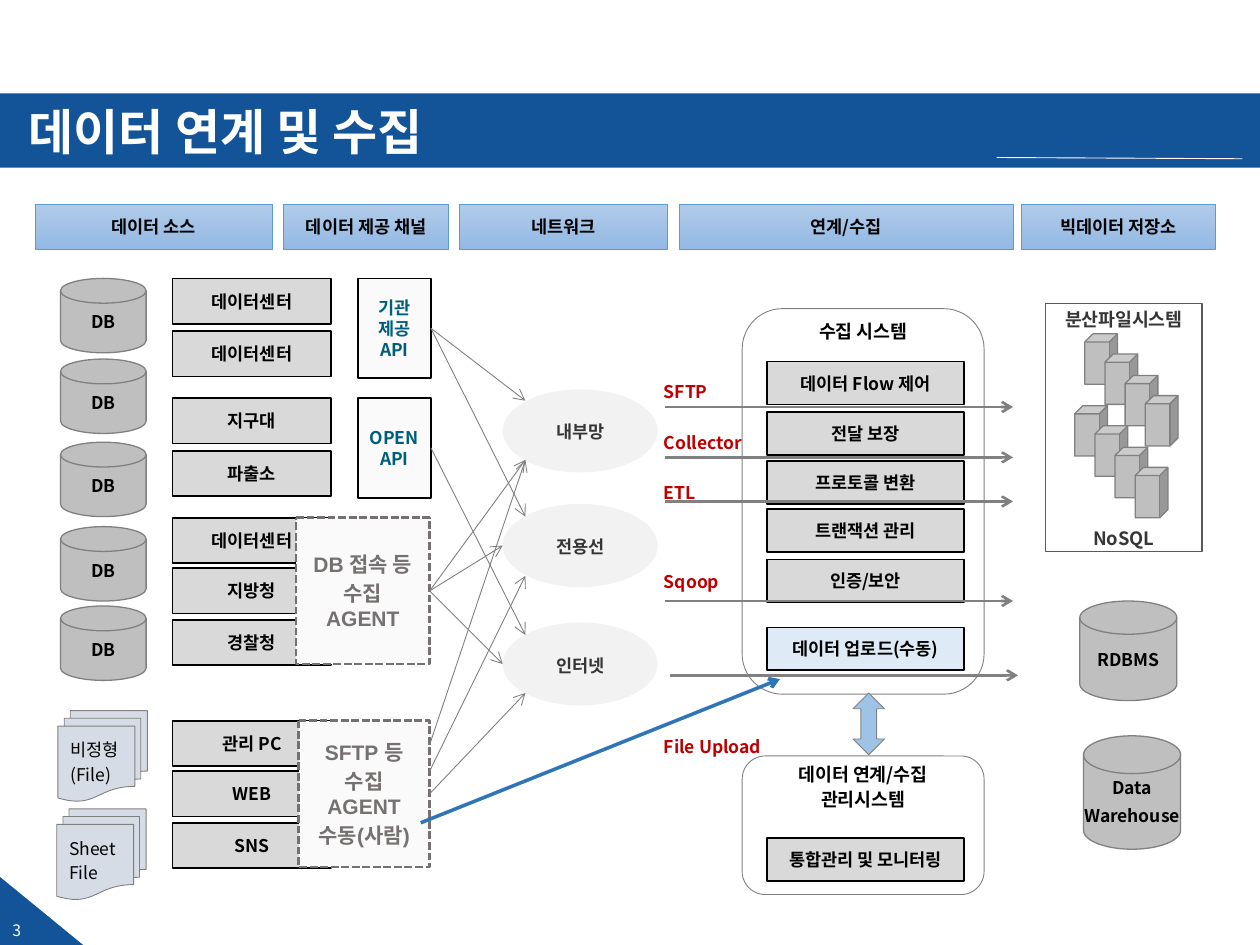
from dataclasses import dataclass

from lxml.etree import SubElement
from pptx import Presentation
from pptx.dml.color import RGBColor
from pptx.enum.dml import MSO_LINE
from pptx.enum.shapes import MSO_CONNECTOR, MSO_SHAPE
from pptx.enum.text import MSO_ANCHOR, MSO_AUTO_SIZE, PP_ALIGN
from pptx.oxml.ns import qn
from pptx.util import Pt


@dataclass(frozen=True)
class Theme:
    font: str = "Noto Sans CJK KR"
    agent_font: str = "Arial"
    navy: str = "135397"
    white: str = "FFFFFF"
    black: str = "000000"
    gray: str = "808080"
    disk: str = "BFBFBF"
    bar: str = "D9D9D9"
    pale: str = "FAFAFA"
    oval: str = "F2F2F2"
    dark: str = "363636"
    frame: str = "595959"
    agent: str = "767171"
    teal: str = "005E7D"
    red: str = "C00000"
    blue: str = "2E75B6"
    arrow: str = "9DC3E6"
    upload: str = "DEEBF7"
    paper: str = "D6DCE5"
    header_line: str = "5B9BD5"
    header_top: str = "B1CBE9"
    header_end: str = "93B9E4"
    title_size: float = 28
    agent_size: float = 12
    system_size: float = 10.5
    body_size: float = 10
    number_size: float = 9


theme = Theme()
PX = 9144


def write(shape, lines, size=theme.body_size, color=theme.black, bold=True, font=theme.font,
          align=PP_ALIGN.CENTER, anchor=MSO_ANCHOR.MIDDLE, insets=(10, 5, 10, 5),
          wrap=False, gap=0, spacing=1.0):
    frame = shape.text_frame
    frame.auto_size = MSO_AUTO_SIZE.NONE
    frame.word_wrap = wrap
    frame.vertical_anchor = anchor
    frame.margin_left, frame.margin_top, frame.margin_right, frame.margin_bottom = (
        inset * PX for inset in insets)
    for index, line in enumerate(lines):
        para = frame.add_paragraph() if index else frame.paragraphs[0]
        para.text = line
        para.alignment = align
        para.line_spacing = spacing
        para.space_before = Pt(gap if index else 0)
        para.space_after = Pt(0)
        para.font.size = Pt(size)
        para.font.bold = bold
        para.font.name = font
        para.font.color.rgb = RGBColor.from_string(color)
        SubElement(para._p.pPr.find(qn("a:defRPr")), qn("a:ea"), typeface=theme.font)
    return frame


def draw(kind, bounds, fill=None, line=None, width=0.75):
    shape = page.shapes.add_shape(kind, *(length * PX for length in bounds))
    shape.shadow.inherit = False
    if fill:
        shape.fill.solid()
        shape.fill.fore_color.rgb = RGBColor.from_string(fill)
    else:
        shape.fill.background()
    if line:
        shape.line.color.rgb = RGBColor.from_string(line)
        shape.line.width = Pt(width)
    else:
        shape.line.fill.background()
    return shape


deck = Presentation()
deck.slide_width, deck.slide_height = 1000 * PX, 750 * PX
page = deck.slides.add_slide(deck.slide_layouts[5])

title = page.shapes.title
title.left, title.top, title.width, title.height = 13 * PX, 81 * PX, 755 * PX, 51 * PX
write(title, ["데이터 연계 및 수집"], theme.title_size, theme.white,
      align=PP_ALIGN.LEFT, wrap=True, spacing=0.9)
banner = draw(MSO_SHAPE.RECTANGLE, (0, 74, 1000, 59), theme.navy)
title.element.addprevious(banner.element)
draw(MSO_SHAPE.RIGHT_TRIANGLE, (0, 696, 66, 54), theme.navy)
number = page.shapes.add_textbox(0, 726 * PX, 39 * PX, 25 * PX)
write(number, ["3"], theme.number_size, theme.white, False, align=PP_ALIGN.LEFT)

storage = draw(MSO_SHAPE.RECTANGLE, (830, 241, 124, 197), None, theme.frame)
write(storage, ["분산파일시스템", "NoSQL"], theme.system_size, theme.dark,
      insets=(5, 5, 5, 5), gap=111, spacing=1.1)

systems = [
    (245, 306, ["수집 시스템"]),
    (600, 110, ["데이터 연계/수집", "관리시스템"]),
]
for top, height, lines in systems:
    system = draw(MSO_SHAPE.ROUNDED_RECTANGLE, (589, top, 192, height),
                  theme.white, theme.gray, 0.5)
    write(system, lines, theme.system_size, anchor=MSO_ANCHOR.TOP,
          insets=(10, 0, 10, 5), wrap=True, gap=2)

headers = [
    (28, 188, "데이터 소스"),
    (225, 131, "데이터 제공 채널"),
    (365, 165, "네트워크"),
    (539, 265, "연계/수집"),
    (811, 154, "빅데이터 저장소"),
]
for left, width, label in headers:
    header = draw(MSO_SHAPE.RECTANGLE, (left, 162, width, 36), None, theme.header_line, 0.5)
    header.fill.gradient()
    header.fill.gradient_angle = 270
    for stop, color in zip(header.fill.gradient_stops, (theme.header_top, theme.header_end)):
        stop.color.rgb = RGBColor.from_string(color)
    write(header, [label])

disks = [((48, top, 68, 59), ["DB"]) for top in (221, 285, 351, 418, 481)]
disks += [((857, 477, 77, 79), ["RDBMS"]), ((860, 584, 77, 90), ["Data", "Warehouse"])]
for bounds, lines in disks:
    disk = draw(MSO_SHAPE.FLOWCHART_MAGNETIC_DISK, bounds, theme.disk, theme.gray)
    write(disk, lines, insets=(0, 5, 0, 5), wrap=True, gap=4)

for left, top, lines in [(46, 564, ["비정형", "(File)"]), (45, 642, ["Sheet", "File"])]:
    files = draw(MSO_SHAPE.FLOWCHART_MULTIDOCUMENT, (left, top, 71, 72),
                 theme.paper, theme.gray, 0.5)
    write(files, lines, bold=False, align=PP_ALIGN.LEFT, wrap=True, gap=2)

sources = [
    (221, "데이터센터"), (263, "데이터센터"), (316, "지구대"), (358, "파출소"),
    (411, "데이터센터"), (451, "지방청"), (492, "경찰청"),
    (572, "관리 PC"), (612, "WEB"), (653, "SNS"),
]
bars = [((137, top, 126, 36), label, theme.bar) for top, label in sources]
steps = [
    (287, "데이터 Flow 제어"), (327, "전달 보장"), (366, "프로토콜 변환"),
    (404, "트랜잭션 관리"), (444, "인증/보안"), (665, "통합관리 및 모니터링"),
]
bars += [((609, top, 156, 34), label, theme.bar) for top, label in steps]
bars.append(((609, 498, 156, 34), "데이터 업로드(수동)", theme.upload))
for bounds, label, fill in bars:
    write(draw(MSO_SHAPE.RECTANGLE, bounds, fill, theme.black, 1), [label])

channels = []
for top, lines in [(221, ["기관", "제공", "API"]), (316, ["OPEN", "API"])]:
    channel = draw(MSO_SHAPE.RECTANGLE, (284, top, 58, 79), theme.pale, theme.black, 1)
    write(channel, lines, color=theme.teal)
    channels.append(channel)

agents = [
    (235, 411, 106, ["DB 접속 등", "수집 AGENT"]),
    (237, 572, 104, ["SFTP 등", "수집 AGENT", "수동(사람)"]),
]
for left, top, width, lines in agents:
    agent = draw(MSO_SHAPE.FLOWCHART_PROCESS, (left, top, width, 116),
                 theme.pale, theme.agent, 1.5)
    agent.line.dash_style = MSO_LINE.SQUARE_DOT
    write(agent, lines, theme.agent_size, theme.agent, font=theme.agent_font, wrap=True, gap=2)
    channels.append(agent)

for top, label in [(309, "내부망"), (400, "전용선"), (494, "인터넷")]:
    network = draw(MSO_SHAPE.OVAL, (399, top, 123, 66), theme.oval)
    write(network, [label], color=theme.dark, insets=(0, 5, 0, 5), wrap=True, spacing=1.1)

for left, top in [(861, 265), (853, 322)]:
    for index in range(4):
        draw(MSO_SHAPE.CUBE, (left + 16 * index, top + 33 * index // 2, 26, 40),
             theme.disk, theme.gray)

draw(MSO_SHAPE.UP_DOWN_ARROW, (677, 550, 25, 49), theme.arrow, theme.gray, 0.5)

api, open_api, db_agent, file_agent = channels
links = [
    (api, (341, 260), (417, 318)),
    (api, (341, 260), (417, 410)),
    (open_api, (341, 356), (417, 504)),
    (db_agent, (341, 469), (417, 365)),
    (db_agent, (341, 469), (399, 433)),
    (db_agent, (341, 469), (399, 527)),
    (None, (341, 612), (417, 457)),
    (None, (341, 591), (417, 365)),
    (file_agent, (341, 630), (417, 550)),
]
lines = [(*link, theme.gray, 0.5, True) for link in links]
lines += [(None, (left, top), (left + 276, top), theme.gray, 1.5, True)
          for left, top in [(528, 323), (528, 363), (528, 398), (528, 477), (532, 536)]]
lines.append((None, (334, 653), (619, 539), theme.blue, 2, True))
lines.append((None, (791, 125), (986, 126), theme.white, 0.5, False))
for origin, start, end, color, width, arrow in lines:
    connector = page.shapes.add_connector(
        MSO_CONNECTOR.STRAIGHT, *(length * PX for length in start + end))
    connector.line.color.rgb = RGBColor.from_string(color)
    connector.line.width = Pt(width)
    if origin:
        connector.begin_connect(origin, 3)
    if arrow:
        SubElement(connector.element.spPr.find(qn("a:ln")), qn("a:tailEnd"), type="arrow")
    SubElement(connector.element.spPr, qn("a:effectLst"))

protocols = page.shapes.add_textbox(522 * PX, 296 * PX, 96 * PX, 313 * PX)
protocol_text = write(protocols, ["SFTP", "Collector", "ETL", "Sqoop", "File Upload"],
                      color=theme.red, align=PP_ALIGN.LEFT, anchor=MSO_ANCHOR.TOP,
                      insets=(5, 5, 5, 5), spacing=1.1)
for para, gap in zip(protocol_text.paragraphs, (0, 16, 15, 38, 81)):
    para.space_before = Pt(gap)

deck.save("out.pptx")
